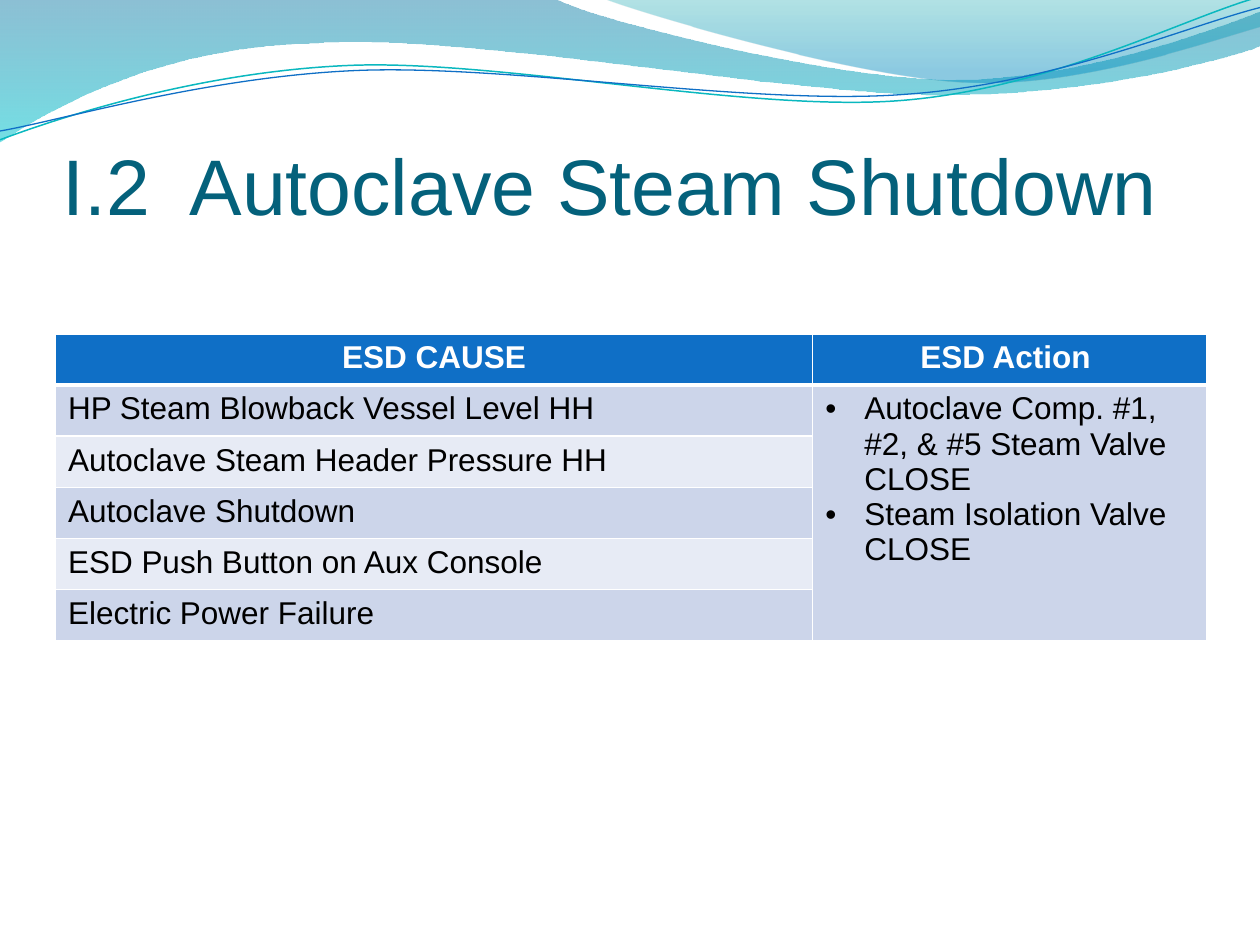
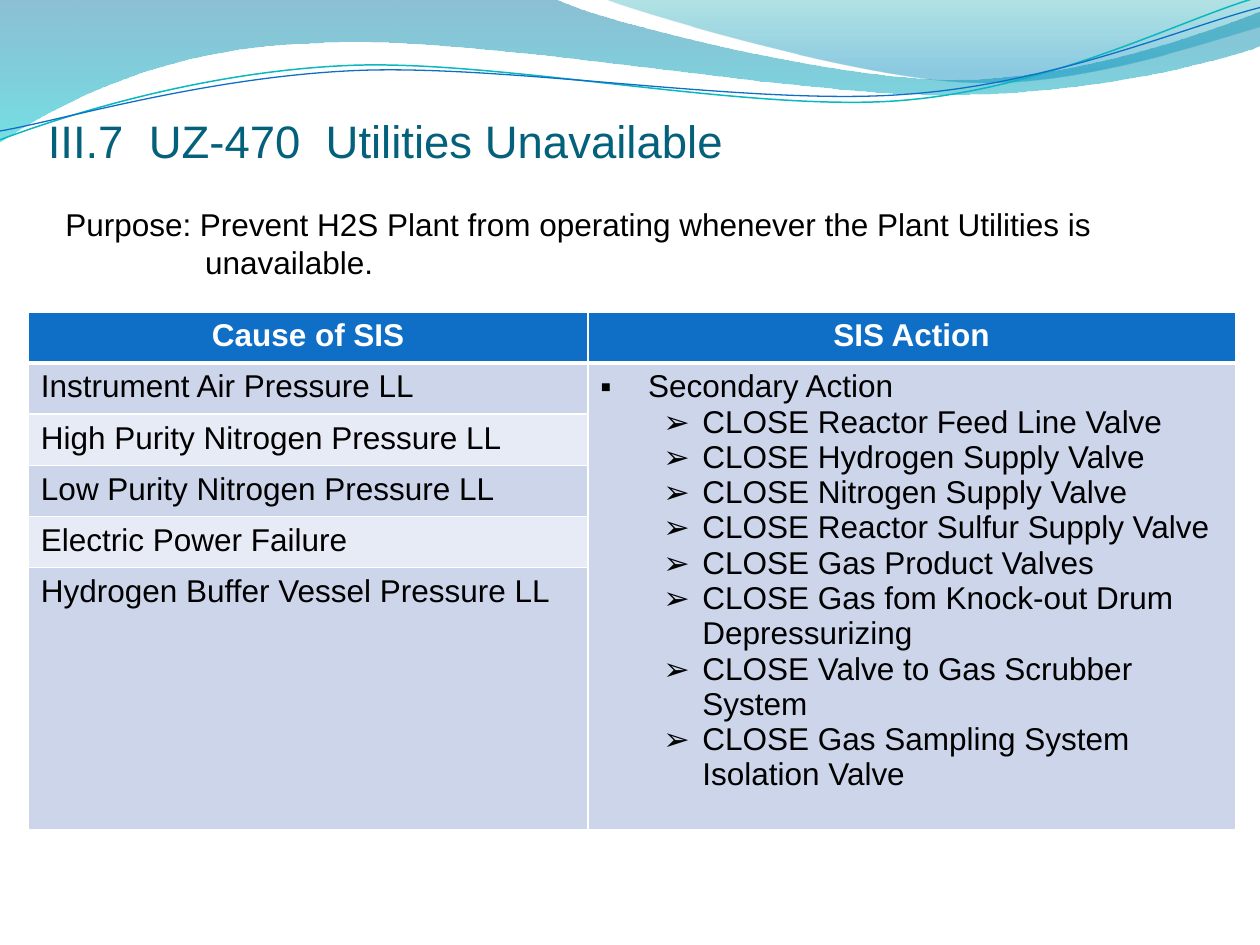
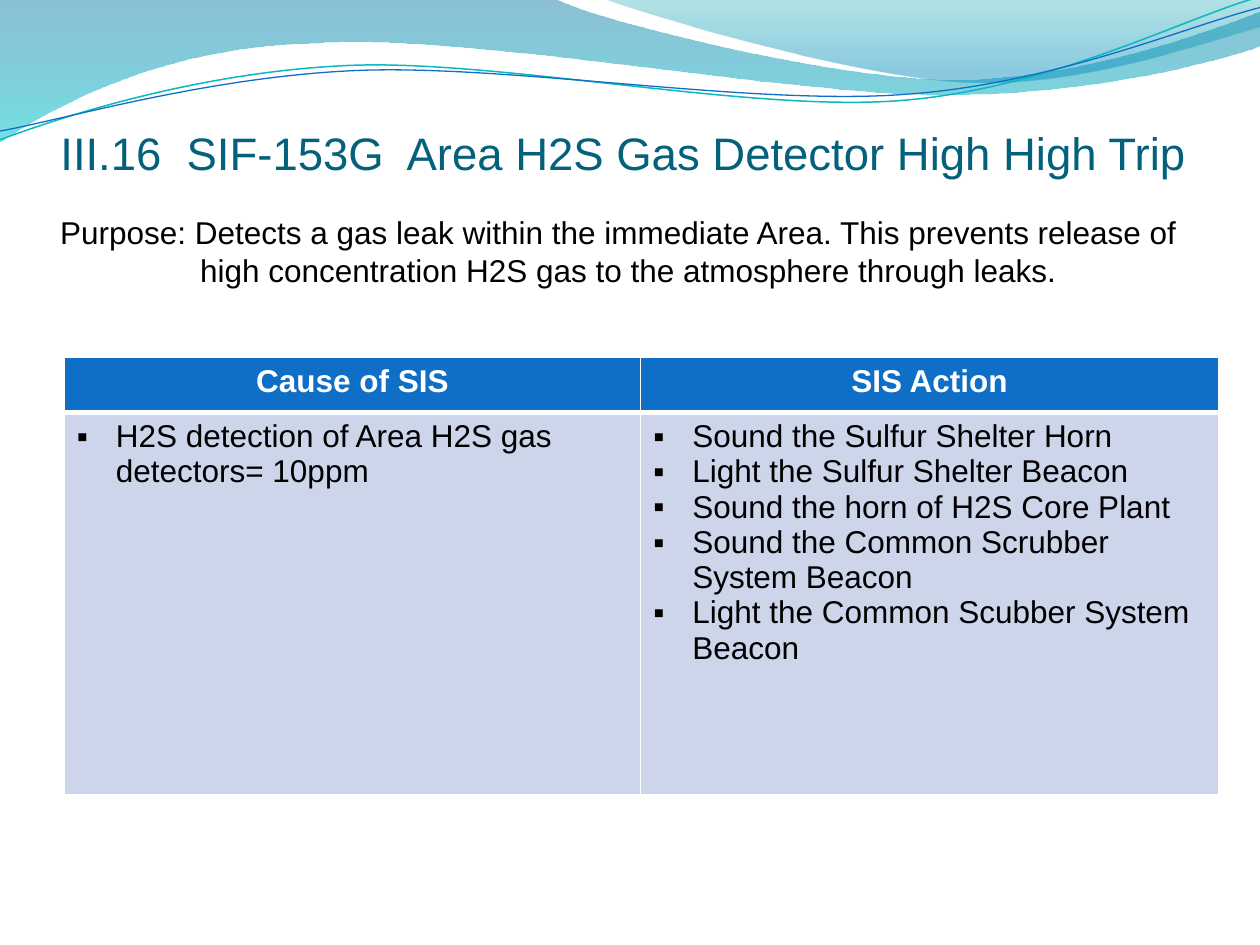
from dataclasses import dataclass
from itertools import chain
from typing import Optional

from lxml.etree import SubElement
from pptx import Presentation
from pptx.dml.color import RGBColor
from pptx.enum.text import MSO_ANCHOR, PP_ALIGN
from pptx.oxml.ns import qn
from pptx.util import Inches, Pt

SLIDE_WIDTH, SLIDE_HEIGHT = Inches(10), Inches(7.5)
GRID_COLUMNS, GRID_ROWS = 100, 75
FONT = "Arial"
WHITE, BLACK, TITLE_TEAL = "FFFFFF", "000000", "04617B"
HEADER_BLUE, BAND_DARK, BAND_LIGHT = "0F6FC6", "CCD5EA", "E7EBF5"
BODY_SIZE = 18
HEADER_RULE, CELL_RULE = 3, 1
PURPOSE_INDENT = 11.1


@dataclass(frozen=True)
class Area:
    left: float
    top: float
    width: float
    height: float


@dataclass(frozen=True)
class Stop:
    position: float
    color: str
    opacity: int


@dataclass(frozen=True)
class Wave:
    start: tuple
    segments: tuple
    stops: tuple = ()
    line_color: str = WHITE
    line_width: float = 0


@dataclass(frozen=True)
class Item:
    text: str
    bullet: str = ""
    margin: float = 0
    hanging: float = 0
    level: int = 0


@dataclass(frozen=True)
class Grid:
    left: float
    top: float
    widths: tuple
    heights: tuple
    headings: tuple
    causes: tuple
    actions: tuple


@dataclass(frozen=True)
class Page:
    title: str
    title_area: Area
    title_size: int
    grid: Grid
    purpose: tuple = ()
    purpose_area: Optional[Area] = None


def dot(text: str) -> Item:
    return Item(text, "•", 3.1, 3.1)


def square(text: str) -> Item:
    return Item(text, "▪", 3.1, 3.1)


def arrow(text: str) -> Item:
    return Item(text, "➢", 8.1, 3.1, level=1)


WAVES = (
    Wave((0, 0), (
        ((44, -0.1),),
        ((47.6, 1.7), (66.4, 6.3), (75.8, 6.3)),
        ((85.3, 6.3), (95.8, 2.6), (100, 0.9)),
        ((100.1, 3.6),),
        ((98.3, 4.4), (87, 7.6), (74.6, 7.5)),
        ((62.2, 7.5), (38.2, 2.8), (25.7, 3.4)),
        ((12.9, 3.6), (4.6, 8.3), (-0.1, 11.3)),
        ((0, 0),),
    ), stops=(Stop(0, "0074A1", 45), Stop(1, "00C6CF", 55))),
    Wave((47.9, -0.1), (
        ((50.9, 1.1), (68.2, 6.2), (76.9, 6.5)),
        ((85.6, 6.9), (96.1, 3.2), (100, 2.1)),
        ((100, 0),),
        ((47.9, -0.1),),
    ), stops=(Stop(0, "00A1A9", 30), Stop(0.8, "008BBF", 45))),
    Wave((0, 11.1), (
        ((4.8, 9.3), (15.8, 5.7), (27.7, 5.2)),
        ((39.5, 4.7), (59.3, 8.9), (71.3, 8)),
        ((83.3, 7.1), (93.8, 1.5), (99.8, -0.2)),
    ), line_color="0AB8BF", line_width=0.85),
    Wave((0, 10.4), (
        ((4.7, 9.6), (16.4, 6.1), (28.3, 5.6)),
        ((40.3, 5.1), (59.7, 8.4), (71.7, 7.5)),
        ((83.6, 6.7), (94.1, 2.1), (100, 0.6)),
    ), line_color=HEADER_BLUE, line_width=0.75),
)

SIS_HEADINGS = ("Cause of SIS", "SIS Action")

PAGES = (
    Page(
        "I.2  Autoclave Steam Shutdown", Area(5, 5.88, 90, 12.5), 45,
        Grid(4.4, 26.5, (60.1, 31.3), (4.06,) * 6, ("ESD CAUSE", "ESD Action "), (
            Item("HP Steam Blowback Vessel Level HH"),
            Item("Autoclave Steam Header Pressure HH"),
            Item("Autoclave Shutdown"),
            Item("ESD Push Button on Aux Console"),
            Item("Electric Power Failure"),
        ), (
            dot("Autoclave Comp. #1, #2, & #5 Steam Valve CLOSE"),
            dot("Steam Isolation Valve CLOSE"),
        )),
    ),
    Page(
        "III.7  UZ-470  Utilities Unavailable", Area(3.8, 5.03, 93.3, 8.3), 26,
        Grid(2.25, 24.75, (44.4, 51.4), (4.06,) * 5 + (20.7,), SIS_HEADINGS, (
            Item("Instrument Air Pressure LL"),
            Item("High Purity Nitrogen Pressure LL"),
            Item("Low Purity Nitrogen Pressure LL"),
            Item("Electric Power Failure"),
            Item("Hydrogen Buffer Vessel Pressure LL"),
        ), (
            square(" Secondary Action"),
            arrow("CLOSE Reactor Feed Line Valve"),
            arrow("CLOSE Hydrogen Supply Valve"),
            arrow("CLOSE Nitrogen Supply Valve"),
            arrow("CLOSE Reactor Sulfur Supply Valve"),
            arrow("CLOSE Gas Product Valves"),
            arrow("CLOSE Gas fom Knock-out Drum Depressurizing"),
            arrow("CLOSE Valve to Gas Scrubber System"),
            arrow("CLOSE Gas Sampling System Isolation Valve"),
        )),
        (
            Item("Purpose: Prevent H2S Plant from operating whenever the Plant Utilities is"),
            Item("unavailable.", margin=PURPOSE_INDENT),
        ),
        Area(4.2, 15.8, 93.3, 7.1),
    ),
    Page(
        "III.16  SIF-153G  Area H2S Gas Detector High High Trip", Area(4.8, 5.93, 96.7, 8.3), 26,
        Grid(5.1, 28.35, (45.75, 45.85), (4.4, 30.3), SIS_HEADINGS, (
            square("H2S detection of Area H2S gas detectors= 10ppm"),
        ), (
            square("Sound the Sulfur Shelter Horn"),
            square("Light the Sulfur Shelter Beacon"),
            square("Sound the horn of H2S Core Plant"),
            square("Sound the Common Scrubber System Beacon"),
            square("Light the Common Scubber System Beacon"),
        )),
        (
            Item("Purpose: Detects a gas leak within the immediate Area. This prevents release of"),
            Item("high concentration H2S gas to the atmosphere through leaks.",
                 margin=PURPOSE_INDENT),
        ),
        Area(3.8, 16.4, 93.3, 7.1),
    ),
)


def col(count: float) -> int:
    return round(SLIDE_WIDTH * count / GRID_COLUMNS)


def row(count: float) -> int:
    return round(SLIDE_HEIGHT * count / GRID_ROWS)


def rgb(color: str) -> RGBColor:
    return RGBColor.from_string(color)


def write(frame, items, *, size=BODY_SIZE, color=BLACK, bold=False,
          align=PP_ALIGN.LEFT) -> None:
    frame.word_wrap = True
    for index, item in enumerate(items):
        paragraph = frame.add_paragraph() if index else frame.paragraphs[0]
        paragraph.alignment = align
        paragraph.level = item.level
        run = paragraph.add_run()
        run.text = item.text
        run.font.name, run.font.size, run.font.bold = FONT, Pt(size), bold
        run.font.color.rgb = rgb(color)
        if item.margin:
            properties = paragraph._p.get_or_add_pPr()
            properties.set("marL", str(col(item.margin)))
            properties.set("indent", str(-col(item.hanging)))
            if item.bullet:
                SubElement(properties, qn("a:buFont"), typeface=FONT)
                SubElement(properties, qn("a:buChar"), char=item.bullet)


def add_text(slide, area: Area, items, *, anchor=MSO_ANCHOR.TOP,
             insets=None, **text_format) -> None:
    frame = slide.shapes.add_textbox(
        col(area.left), row(area.top), col(area.width), row(area.height)).text_frame
    frame.vertical_anchor = anchor
    if insets:
        frame.margin_left, frame.margin_top, frame.margin_right, frame.margin_bottom = insets
    write(frame, items, **text_format)


def bend(shape, segments) -> None:
    steps = iter(list(shape._element.iter(qn("a:lnTo"))))
    for segment in segments:
        first, *others = [next(steps) for _ in segment]
        if others:
            first.tag = qn("a:cubicBezTo")
        for other in others:
            first.append(other[0])
            other.getparent().remove(other)


def add_wave(slide, wave: Wave) -> None:
    start, *rest = [(col(x), row(y)) for x, y in chain([wave.start], *wave.segments)]
    builder = slide.shapes.build_freeform(*start)
    builder.add_line_segments(rest, close=bool(wave.stops))
    shape = builder.convert_to_shape()
    bend(shape, wave.segments)
    shape.shadow.inherit = False
    if not wave.stops:
        shape.fill.background()
        shape.line.color.rgb = rgb(wave.line_color)
        shape.line.width = Pt(wave.line_width)
        return
    shape.line.fill.background()
    shape.fill.gradient()
    shape.fill.gradient_angle = 270
    for target, stop in zip(shape.fill.gradient_stops, wave.stops):
        target.position = stop.position
        target.color.rgb = rgb(stop.color)
    for color, stop in zip(shape._element.iter(qn("a:srgbClr")), wave.stops):
        SubElement(color, qn("a:alpha"), val=str(stop.opacity * 1000))


def style_cell(cell, row_index: int) -> None:
    top = HEADER_RULE if row_index == 1 else CELL_RULE
    bottom = HEADER_RULE if row_index == 0 else CELL_RULE
    properties = cell._tc.get_or_add_tcPr()
    for side, width in (("L", CELL_RULE), ("R", CELL_RULE), ("T", top), ("B", bottom)):
        border = SubElement(properties, qn(f"a:ln{side}"), w=str(Pt(width)))
        SubElement(SubElement(border, qn("a:solidFill")), qn("a:srgbClr"), val=WHITE)
    cell.fill.solid()
    band = BAND_DARK if row_index % 2 else BAND_LIGHT
    cell.fill.fore_color.rgb = rgb(band if row_index else HEADER_BLUE)


def add_grid(slide, grid: Grid) -> None:
    table = slide.shapes.add_table(
        len(grid.heights), len(grid.widths), col(grid.left), row(grid.top),
        col(sum(grid.widths)), row(sum(grid.heights))).table
    table.first_row = table.horz_banding = False
    for column, width in zip(table.columns, grid.widths):
        column.width = col(width)
    for index, height in enumerate(grid.heights):
        table.rows[index].height = row(height)
        for column in range(len(grid.widths)):
            style_cell(table.cell(index, column), index)
    for column, heading in enumerate(grid.headings):
        write(table.cell(0, column).text_frame, [Item(heading)],
              color=WHITE, bold=True, align=PP_ALIGN.CENTER)
    for index, cause in enumerate(grid.causes, start=1):
        write(table.cell(index, 0).text_frame, [cause])
    action_cell = table.cell(1, 1)
    if len(grid.causes) > 1:
        action_cell.merge(table.cell(len(grid.causes), 1))
    write(action_cell.text_frame, grid.actions)


def add_page(deck, page: Page) -> None:
    slide = deck.slides.add_slide(deck.slide_layouts[6])
    for wave in WAVES:
        add_wave(slide, wave)
    add_text(slide, page.title_area, [Item(page.title)], anchor=MSO_ANCHOR.BOTTOM,
             insets=(0, row(0.5), 0, 0), size=page.title_size, color=TITLE_TEAL)
    if page.purpose_area:
        add_text(slide, page.purpose_area, page.purpose)
    add_grid(slide, page.grid)


def main() -> None:
    deck = Presentation()
    deck.slide_width, deck.slide_height = SLIDE_WIDTH, SLIDE_HEIGHT
    for page in PAGES:
        add_page(deck, page)
    deck.save("out.pptx")


if __name__ == "__main__":
    main()
